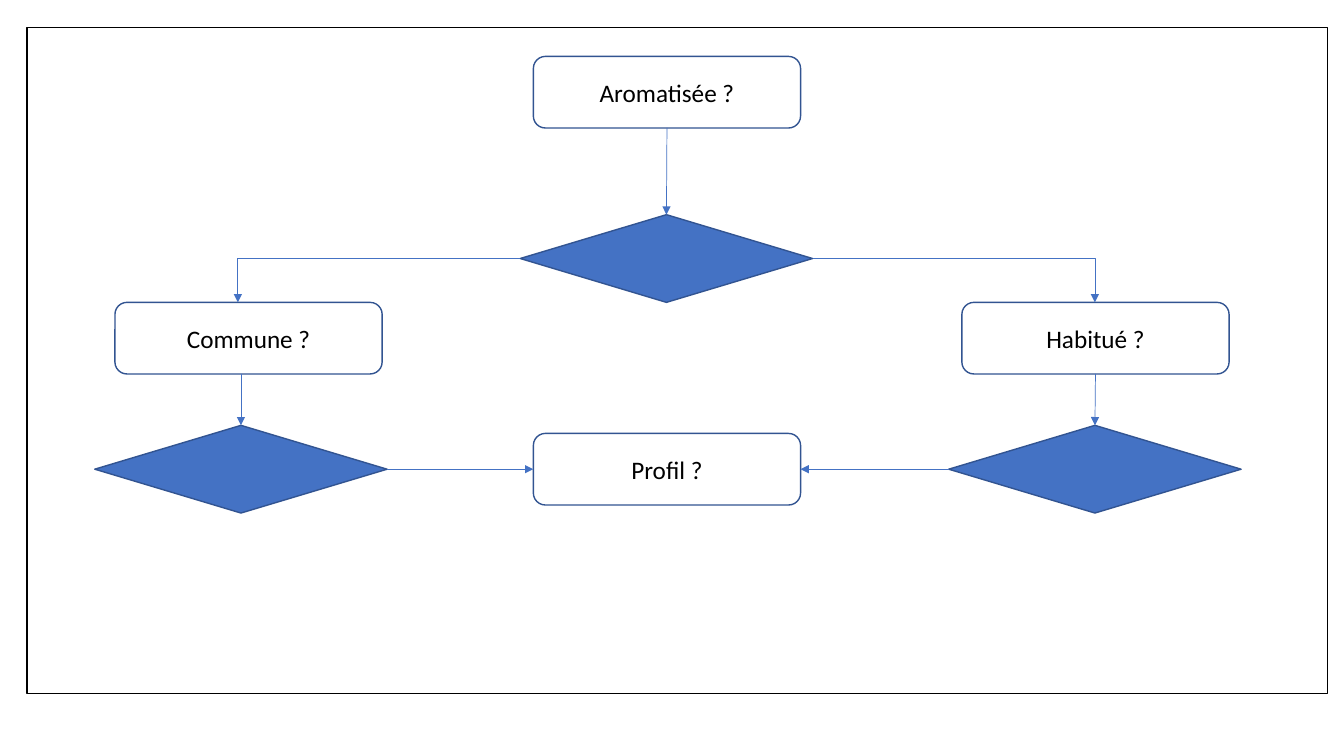
from lxml import etree
from pptx import Presentation
from pptx.dml.color import RGBColor
from pptx.enum.shapes import MSO_CONNECTOR as CONN, MSO_SHAPE as SHAPE
from pptx.enum.text import MSO_ANCHOR, PP_ALIGN
from pptx.oxml.ns import qn
from pptx.util import Inches, Pt

BLUE, DARK_BLUE, BLACK = "4472C4", "325491", "000000"
BOX_W, BOX_H = 2.65, 0.71
DIAMOND_W, DIAMOND_H = 2.9, 0.87
TOP, LEFT, BOTTOM, RIGHT = range(4)


def add_node(kind, x, y, w, h, line, fill=None):
    sp = s.shapes.add_shape(kind, Inches(x), Inches(y), Inches(w), Inches(h))
    sp.shadow.inherit = False
    if fill:
        sp.fill.solid()
        sp.fill.fore_color.rgb = RGBColor.from_string(fill)
    else:
        sp.fill.background()
    sp.line.color.rgb = RGBColor.from_string(line)
    sp.line.width = Pt(1)
    return sp


def add_arrow(kind, x1, y1, x2, y2):
    c = s.shapes.add_connector(kind, Inches(x1), Inches(y1), Inches(x2), Inches(y2))
    c.line.color.rgb = RGBColor.from_string(BLUE)
    c.line.width = Pt(0.5)
    etree.SubElement(c.line._get_or_add_ln(), qn("a:tailEnd"), type="triangle")
    etree.SubElement(c._element.spPr, qn("a:effectLst"))
    return c


prs = Presentation()
prs.slide_width, prs.slide_height = Inches(13.33), Inches(7.5)
s = prs.slides.add_slide(prs.slide_layouts[6])

# Frame
add_node(SHAPE.RECTANGLE, 0.27, 0.27, 12.9, 6.61, BLACK)

# Question boxes
boxes = {}
for name, x, y in [("Aromatisée", 5.29, 0.56), ("Commune", 1.14, 3),
                   ("Habitué", 9.54, 3), ("Profil", 5.29, 4.3)]:
    sp = boxes[name] = add_node(SHAPE.ROUNDED_RECTANGLE, x, y, BOX_W, BOX_H, DARK_BLUE)
    tf = sp.text_frame
    tf.vertical_anchor = MSO_ANCHOR.MIDDLE
    p = tf.paragraphs[0]
    p.text = f"{name} ?"
    p.alignment = PP_ALIGN.CENTER
    font = p.runs[0].font
    font.name, font.size = "Calibri", Pt(18)
    font.color.rgb = RGBColor.from_string(BLACK)

# Decision diamonds, named after the question above
diamonds = {}
for name, x, y in [("Aromatisée", 5.16, 2.13), ("Commune", 0.94, 4.22),
                   ("Habitué", 9.41, 4.22)]:
    diamonds[name] = add_node(SHAPE.DIAMOND, x, y, DIAMOND_W, DIAMOND_H, DARK_BLUE, BLUE)

# Arrows from question to decision
for name, x, y1, y2 in [("Aromatisée", 6.61, 1.27, 2.13),
                        ("Commune", 2.39, 3.71, 4.22),
                        ("Habitué", 10.86, 3.71, 4.22)]:
    c = add_arrow(CONN.STRAIGHT, x, y1, x, y2)
    if name != "Commune":  # this arrow starts left of its box's middle
        c.begin_connect(boxes[name], BOTTOM)
    c.end_connect(diamonds[name], TOP)

# Arrows from the lower decisions to the profile
for name, x1, x2, start, end in [("Commune", 3.84, 5.29, RIGHT, LEFT),
                                 ("Habitué", 9.41, 7.94, LEFT, RIGHT)]:
    c = add_arrow(CONN.STRAIGHT, x1, 4.65, x2, 4.65)
    c.begin_connect(diamonds[name], start)
    c.end_connect(boxes["Profil"], end)

# Elbow arrows from the first decision, turning at their far end
for x1, x2 in [(5.16, 2.36), (8.06, 10.86)]:
    c = add_arrow(CONN.ELBOW, x1, 2.56, x2, 3)
    adjustments = c._element.spPr.find(qn("a:prstGeom")).get_or_add_avLst()
    etree.SubElement(adjustments, qn("a:gd"), name="adj1", fmla="val 100000")

prs.save("out.pptx")
